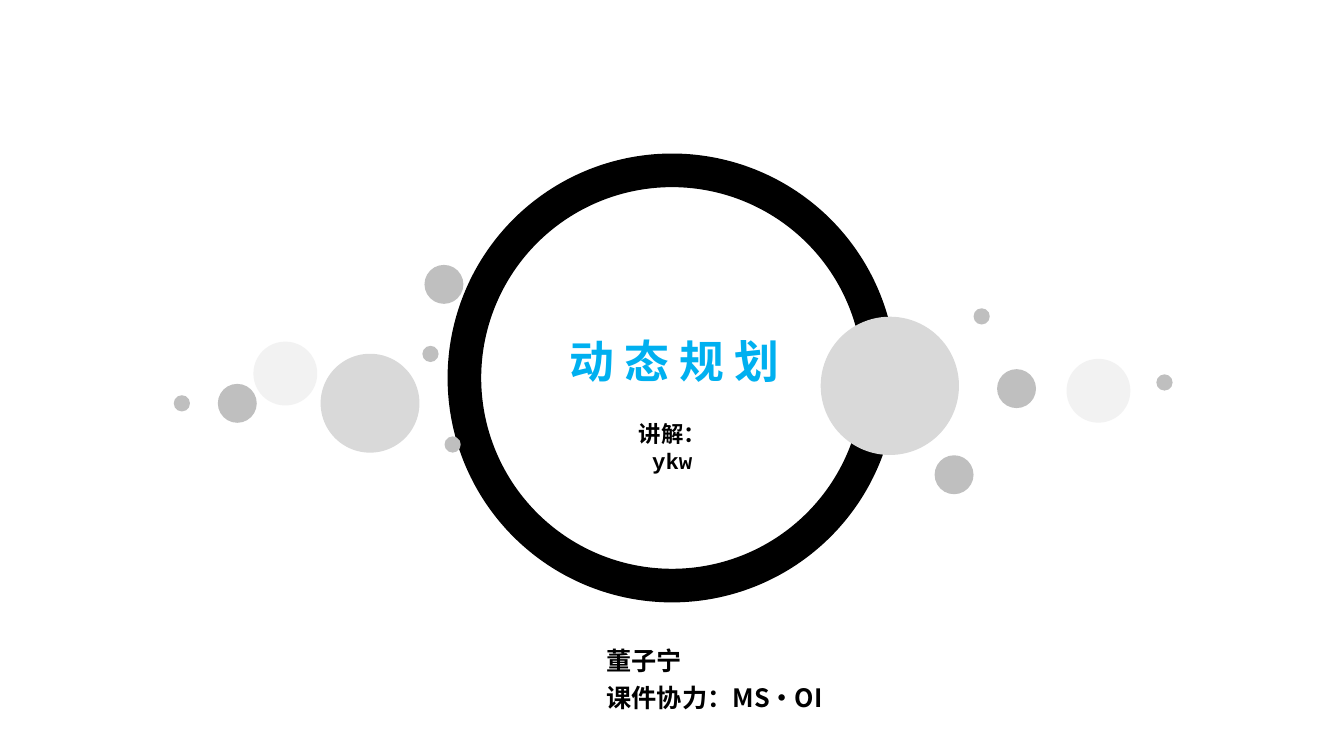
"""Build the opening slide of a lecture on dynamic programming."""
from pptx import Presentation
from pptx.dml.color import RGBColor
from pptx.enum.shapes import MSO_SHAPE
from pptx.enum.text import MSO_ANCHOR, MSO_AUTO_SIZE, PP_ALIGN
from pptx.oxml.ns import qn
from pptx.util import Pt

OVAL = MSO_SHAPE.OVAL
TOP = MSO_ANCHOR.TOP
GROW = MSO_AUTO_SIZE.SHAPE_TO_FIT_TEXT
CENTER, JUSTIFY = PP_ALIGN.CENTER, PP_ALIGN.JUSTIFY

BLACK = RGBColor(0x00, 0x00, 0x00)
BLUE = RGBColor(0x00, 0xB0, 0xF0)
MID_GRAY = RGBColor(0xBF, 0xBF, 0xBF)
LIGHT_GRAY = RGBColor(0xD9, 0xD9, 0xD9)
PALE_GRAY = RGBColor(0xF2, 0xF2, 0xF2)

SANS = "Noto Sans CJK SC"
MONO = "Courier New"


def write_text(shape, text, size, font_name, color, alignment):
    frame = shape.text_frame
    frame.word_wrap = True
    frame.auto_size = GROW
    frame.vertical_anchor = TOP
    paragraph = frame.paragraphs[0]
    paragraph.alignment = alignment
    run = paragraph.add_run()
    run.text = text
    run.font.size = Pt(size)
    run.font.bold = True
    run.font.name = font_name
    run.font.color.rgb = color
    east_asian = run._r.get_or_add_rPr().makeelement(qn("a:ea"), {"typeface": SANS})
    run.font._element.find(qn("a:latin")).addnext(east_asian)
    return paragraph


def add_circle(slide, left, top, diameter):
    circle = slide.shapes.add_shape(OVAL, Pt(left), Pt(top), Pt(diameter), Pt(diameter))
    circle.shadow.inherit = False
    return circle


presentation = Presentation()
presentation.slide_width = Pt(960)
presentation.slide_height = Pt(540)
slide = presentation.slides.add_slide(presentation.slide_layouts[5])

title = slide.shapes.title
title.left, title.top, title.width, title.height = Pt(388), Pt(216.7), Pt(188), Pt(57.6)
title_paragraph = write_text(title, "动 态 规 划", 32, SANS, BLUE, CENTER)
title_paragraph.line_spacing = Pt(56.4)

ring = add_circle(slide, 331.7, 121.7, 296.6)
ring.fill.background()
ring.line.color.rgb = BLACK
ring.line.width = Pt(24)

bubble_groups = [
    (70.6, LIGHT_GRAY, [(229, 252.7)]),
    (98.8, LIGHT_GRAY, [(586.2, 226.2)]),
    (45.6, PALE_GRAY, [(181, 244), (761.8, 256.3)]),
    (27.8, MID_GRAY, [(155.6, 274.2), (303.2, 189.2), (667.6, 325.2), (712.2, 263.7)]),
    (11.6, MID_GRAY, [(301.7, 247), (124.1, 282.3), (317.5, 311.7), (826, 267.4), (695.4, 220.2)]),
]
for diameter, color, positions in bubble_groups:
    for left, top in positions:
        bubble = add_circle(slide, left, top, diameter)
        bubble.fill.solid()
        bubble.fill.fore_color.rgb = color
        bubble.line.fill.background()

captions = [
    ("董子宁", 426.2, 457.2, 107.3, 29, 18, SANS, JUSTIFY),
    ("课件协力：MS·OI", 426.2, 483.8, 173.5, 29, 18, SANS, JUSTIFY),
    ("讲解：ykw", 435.6, 296.6, 89.3, 26.6, 16, MONO, CENTER),
]
for text, left, top, width, height, size, font_name, alignment in captions:
    caption = slide.shapes.add_textbox(Pt(left), Pt(top), Pt(width), Pt(height))
    write_text(caption, text, size, font_name, BLACK, alignment)

presentation.save("out.pptx")
